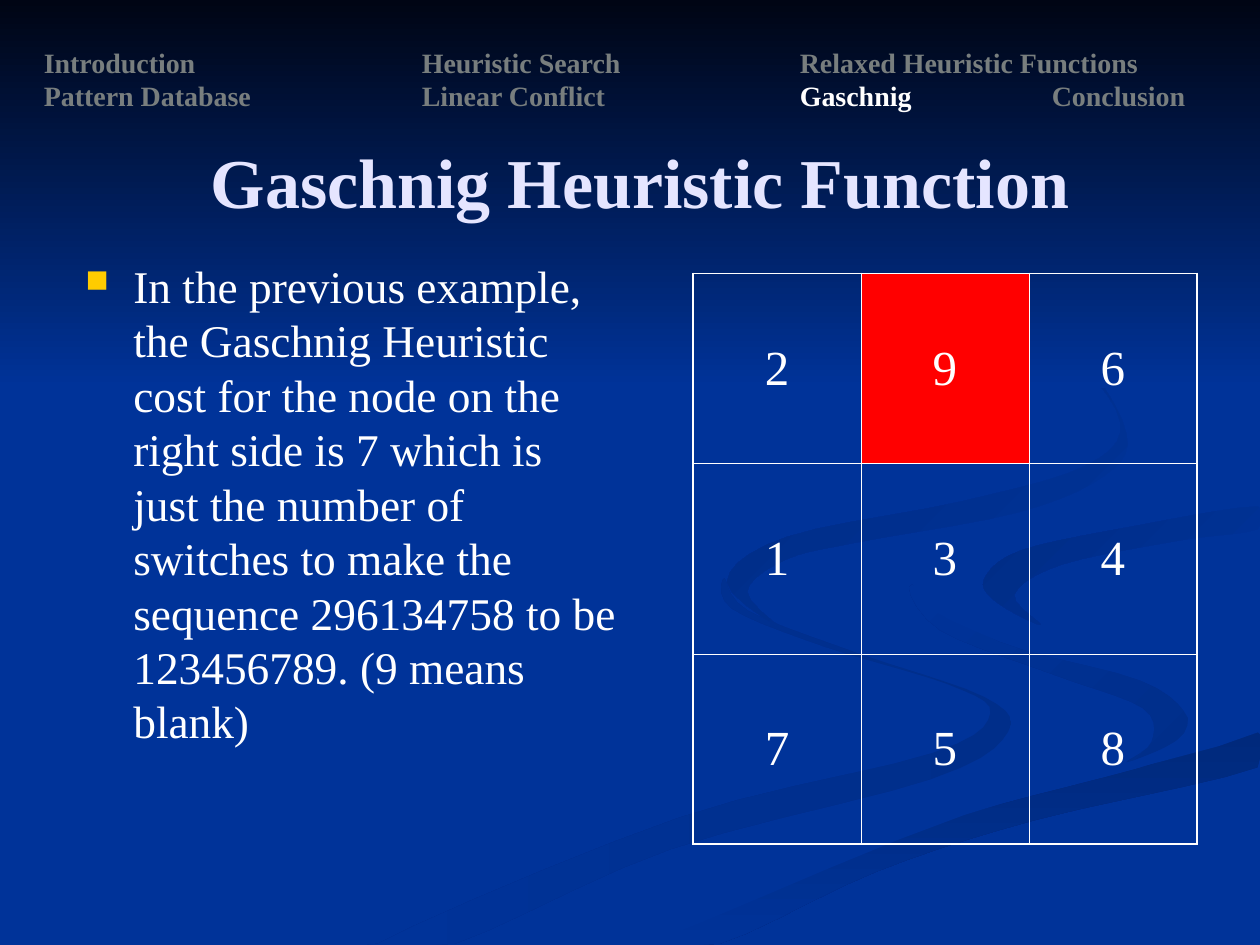
from pptx import Presentation
from pptx.dml.color import RGBColor
from pptx.enum.shapes import MSO_SHAPE
from pptx.enum.text import MSO_ANCHOR, PP_ALIGN
from pptx.oxml.ns import qn
from pptx.util import Inches, Pt
from lxml import etree

RECTANGLE = MSO_SHAPE.RECTANGLE
MIDDLE, TOP = MSO_ANCHOR.MIDDLE, MSO_ANCHOR.TOP
CENTER = PP_ALIGN.CENTER
FONT = "Times New Roman"
WIDTH, HEIGHT = 10, 7.5
CURVE_STEPS = 5
COLORS = {
    "blue": "003399", "night": "000514", "title": "E5E5FF", "muted": "787E7E",
    "white": "FFFFFF", "bullet": "FFCC00", "blank": "FF0000",
    "shade_a": "002E8A", "shade_b": "00297C", "shade_c": "002C85", "shade_d": "002B81",
}

RIBBONS = [
    ("shade_a", "blue", 180, [
        (7.81, 5.53), (6.82, 5.19), (5.94, 4.85), (5.75, 4.59), (5.81, 4.83), (6.54, 5.13),
        (7.52, 5.43), (7.86, 5.66), (7.39, 5.98), (5.39, 6.49), (3, 7.49), (3.61, 7.49),
        (5.32, 6.74), (7.4, 6.18), (8, 5.81)]),
    ("shade_a", "blue", 225, [
        (9.43, 5.7), (9.05, 5.4), (7.92, 5.09), (7.24, 4.64), (7.46, 5), (8.38, 5.36),
        (9.07, 5.62), (9.14, 5.89), (8.94, 6.05), (9.32, 5.89)]),
    ("shade_b", "blue", 90, [
        (5.03, 7.49), (5.71, 7.49), (6.95, 6.92), (8.21, 6.51), (9.98, 6.09), (9.98, 5.81),
        (9.03, 6.1), (7.64, 6.47), (6.3, 6.93)]),
    ("blue", "blue", 0, [
        (7.25, 4.64), (7.93, 5.09), (9.05, 5.4), (9.43, 5.7), (9.02, 6.03), (7.04, 6.55),
        (4.77, 7.49), (5.19, 7.47), (7.65, 6.47), (9.99, 5.81), (9.99, 5.38), (8.48, 5.03),
        (7.82, 4.6), (8.65, 4.24), (9.99, 4.02), (9.99, 3.87), (8.3, 4.15)]),
    ("blue", "shade_c", 225, [
        (7.81, 4.6), (7.91, 4.78), (8.26, 4.96), (8.05, 4.72), (8.43, 4.48), (9.36, 4.29),
        (9.98, 4.2), (9.98, 4.02), (8.98, 4.18), (8.1, 4.37)]),
    ("blue", "shade_d", 225, [
        (6.83, 4.3), (8.07, 4.07), (8.76, 3.78), (8.94, 3.44), (8.54, 2.83), (7.62, 2.33),
        (8.46, 2.79), (8.89, 3.35), (8.61, 3.7), (7.63, 3.98), (6.25, 4.26), (5.77, 4.62),
        (6.22, 5), (5.93, 4.7), (6.24, 4.44)]),
]

NAVIGATION = [
    [("Introduction\t\tHeuristic Search\t\tRelaxed Heuristic Functions", "muted")],
    [("Pattern Database\t\tLinear Conflict\t\t", "muted"),
     ("Gaschnig\t\t", "white"), ("Conclusion", "muted")],
]
BODY = ("In the previous example, the Gaschnig Heuristic cost for the node on the right side "
        "is 7 which is just the number of switches to make the sequence 296134758 to be "
        "123456789. (9 means blank)")
PUZZLE = ["296", "134", "758"]
BLANK_TILE = "9"


def color(name):
    return RGBColor.from_string(COLORS[name])


def style(paragraph, size, name="white", bold=False):
    font = paragraph.font
    font.name, font.size, font.bold = FONT, Pt(size), bold
    font.color.rgb = color(name)


def paint(shape, start, end, angle):
    shape.shadow.inherit = False
    shape.line.fill.background()
    if start == end:
        shape.fill.solid()
        shape.fill.fore_color.rgb = color(start)
        return
    shape.fill.gradient()
    shape.fill.gradient_angle = 360 - angle
    for stop, name, position in zip(shape.fill.gradient_stops, (start, end), (0, 1)):
        stop.color.rgb = color(name)
        stop.position = position


def spline(a, b, c, d, t):
    return b + t / 2 * (c - a + t * (2 * a - 5 * b + 4 * c - d + t * (3 * (b - c) + d - a)))


def smooth_outline(points):
    count = len(points)
    outline = []
    for index in range(count):
        knots = [points[(index + shift) % count] for shift in (-1, 0, 1, 2)]
        for step in range(CURVE_STEPS):
            x, y = (spline(*axis, step / CURVE_STEPS) for axis in zip(*knots))
            outline.append((Inches(min(x, WIDTH)), Inches(min(y, HEIGHT))))
    return outline


def add_ribbon(page, start, end, angle, points):
    outline = smooth_outline(points)
    builder = page.shapes.build_freeform(*outline[0])
    builder.add_line_segments(outline[1:], close=True)
    paint(builder.convert_to_shape(), start, end, angle)


def add_text(page, left, top, width, height, anchor):
    box = page.shapes.add_textbox(Inches(left), Inches(top), Inches(width), Inches(height))
    box.text_frame.word_wrap = True
    box.text_frame.vertical_anchor = anchor
    return box.text_frame.paragraphs[0]


def add_navigation(page):
    paragraph = add_text(page, 0.25, 0.25, 9.5, 0.75, MIDDLE)
    tabs = etree.SubElement(paragraph._p.get_or_add_pPr(), qn("a:tabLst"))
    for stop in range(1, 9):
        etree.SubElement(tabs, qn("a:tab"), pos=str(Inches(stop)), algn="l")
    style(paragraph, 16, "muted", True)
    for number, line in enumerate(NAVIGATION):
        if number:
            paragraph.add_line_break()
        for text, name in line:
            span = paragraph.add_run()
            span.text = text
            span.font.color.rgb = color(name)


def add_bullet(paragraph):
    properties = paragraph._p.get_or_add_pPr()
    properties.set("marL", str(Inches(0.38)))
    properties.set("indent", str(-Inches(0.38)))
    tint = etree.SubElement(properties, qn("a:buClr"))
    etree.SubElement(tint, qn("a:srgbClr"), val=COLORS["bullet"])
    etree.SubElement(properties, qn("a:buSzPct"), val="70000")
    etree.SubElement(properties, qn("a:buChar"), char="■")


def add_border(cell, side, width):
    properties = cell._tc.get_or_add_tcPr()
    line = etree.SubElement(properties, qn(f"a:ln{side}"), w=str(Pt(width)))
    fill = etree.SubElement(line, qn("a:solidFill"))
    etree.SubElement(fill, qn("a:srgbClr"), val=COLORS["white"])


def add_puzzle(page):
    size = len(PUZZLE)
    frame = page.shapes.add_table(size, size, Inches(5.5), Inches(2.17), Inches(4), Inches(4.53))
    table = frame.table
    table.first_row = table.horz_banding = False
    last = size - 1
    for row, tiles in enumerate(PUZZLE):
        for column, tile in enumerate(tiles):
            cell = table.cell(row, column)
            cell.vertical_anchor = MIDDLE
            cell.text = tile
            paragraph = cell.text_frame.paragraphs[0]
            paragraph.alignment = CENTER
            style(paragraph, 28)
            edges = {"L": column == 0, "R": column == last, "T": row == 0, "B": row == last}
            for side, outer in edges.items():
                add_border(cell, side, 1.08 if outer else 0.45)
            if tile == BLANK_TILE:
                cell.fill.solid()
                cell.fill.fore_color.rgb = color("blank")
            else:
                cell.fill.background()


def main():
    deck = Presentation()
    deck.slide_width, deck.slide_height = Inches(WIDTH), Inches(HEIGHT)
    page = deck.slides.add_slide(deck.slide_layouts[6])
    page.background.fill.solid()
    page.background.fill.fore_color.rgb = color("blue")
    for ribbon in RIBBONS:
        add_ribbon(page, *ribbon)
    sky = page.shapes.add_shape(RECTANGLE, 0, 0, Inches(WIDTH), Inches(3.08))
    paint(sky, "night", "blue", 90)

    title = add_text(page, 0.58, 1.08, 9, 0.7, MIDDLE)
    title.text = "Gaschnig Heuristic Function"
    title.alignment = CENTER
    style(title, 40, "title", True)
    add_navigation(page)

    body = add_text(page, 0.58, 2, 4.42, 4.95, TOP)
    body.text = BODY
    add_bullet(body)
    body.line_spacing = Pt(31.1)
    style(body, 25.9)
    add_puzzle(page)
    deck.save("out.pptx")


if __name__ == "__main__":
    main()
